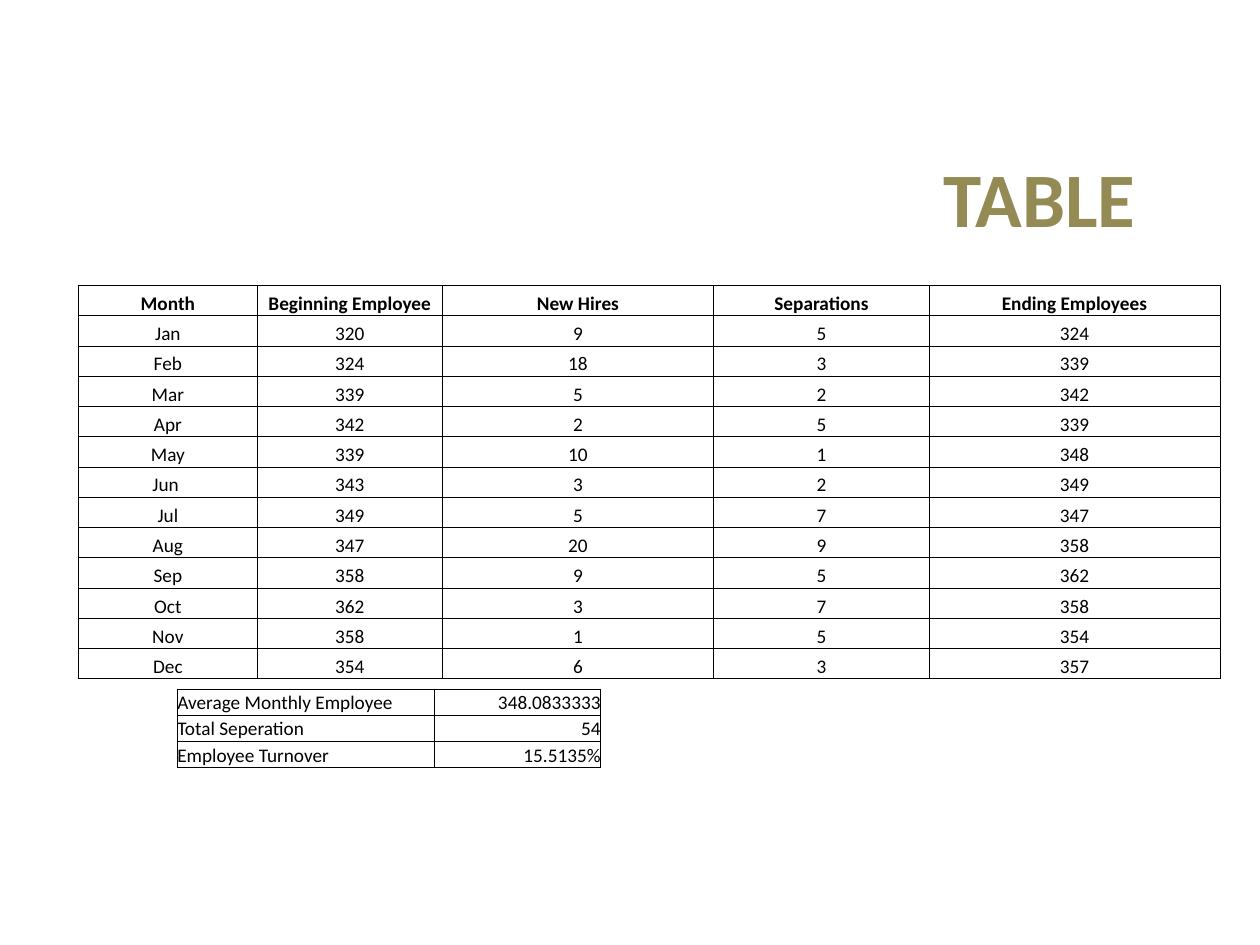
from dataclasses import dataclass
from typing import Any

from lxml import etree
from pptx import Presentation
from pptx.dml.color import RGBColor
from pptx.enum.text import MSO_ANCHOR, PP_ALIGN
from pptx.oxml.ns import qn
from pptx.util import Pt

LEFT, MID, RIGHT = PP_ALIGN.LEFT, PP_ALIGN.CENTER, PP_ALIGN.RIGHT
LOW, HALF = MSO_ANCHOR.BOTTOM, MSO_ANCHOR.MIDDLE
TITLE_ONLY = 5
HUES = {"title": "948A54", "text": "000000", "line": "000000"}
CELL = {
    "margin_left": 0,
    "margin_right": 0,
    "margin_top": 0,
    "margin_bottom": 0,
    "vertical_anchor": LOW,
}
PLAIN = {"name": "Calibri", "size": Pt(11), "bold": False}
HEAD = {**PLAIN, "bold": True}
LARGE = {**HEAD, "size": Pt(44)}

MONTHS = [
    ("Month", "Beginning Employee", "New Hires", "Separations", "Ending Employees"),
    ("Jan", 320, 9, 5, 324),
    ("Feb", 324, 18, 3, 339),
    ("Mar", 339, 5, 2, 342),
    ("Apr", 342, 2, 5, 339),
    ("May", 339, 10, 1, 348),
    ("Jun ", 343, 3, 2, 349),
    ("Jul", 349, 5, 7, 347),
    ("Aug", 347, 20, 9, 358),
    ("Sep", 358, 9, 5, 362),
    ("Oct", 362, 3, 7, 358),
    ("Nov", 358, 1, 5, 354),
    ("Dec", 354, 6, 3, 357),
]
TOTALS = [
    ("Average Monthly Employee", "348.0833333"),
    ("Total Seperation", 54),
    ("Employee Turnover", "15.5135%"),
]


@dataclass
class Grid:
    left: float
    top: float
    step: float
    widths: list[float]
    aligns: list[Any]
    rows: list[tuple]
    head: bool


GRIDS = [
    Grid(44.7, 163.1, 17.3, [102.5, 105.5, 155.3, 123, 166.2], [MID] * 5, MONTHS, True),
    Grid(101.3, 393.8, 14.9, [147, 95], [LEFT, RIGHT], TOTALS, False),
]


def apply(item: Any, values: dict[str, Any]) -> None:
    for key, value in values.items():
        setattr(item, key, value)


def style(para: Any, align: Any, values: dict[str, Any], hue: str) -> None:
    para.alignment = align
    font = para.runs[0].font
    apply(font, values)
    font.color.rgb = RGBColor.from_string(HUES[hue])


def frame(cell: Any) -> None:
    props = cell._tc.get_or_add_tcPr()
    for side in ("a:lnL", "a:lnR", "a:lnT", "a:lnB"):
        line = etree.SubElement(props, qn(side), w=str(Pt(0.5)))
        fill = etree.SubElement(line, qn("a:solidFill"))
        etree.SubElement(fill, qn("a:srgbClr"), val=HUES["line"])
    cell.fill.background()


def draw(slide: Any, grid: Grid) -> None:
    count = len(grid.rows)
    table = slide.shapes.add_table(
        count, len(grid.widths), Pt(grid.left), Pt(grid.top),
        Pt(sum(grid.widths)), Pt(grid.step * count),
    ).table
    table.first_row = grid.head
    table.horz_banding = False
    for col, width in zip(table.columns, grid.widths):
        col.width = Pt(width)
    for num, (row, texts) in enumerate(zip(table.rows, grid.rows)):
        row.height = Pt(grid.step)
        font = HEAD if grid.head and num == 0 else PLAIN
        for cell, text, align in zip(row.cells, texts, grid.aligns):
            cell.text = str(text)
            apply(cell, CELL)
            frame(cell)
            style(cell.text_frame.paragraphs[0], align, font, "text")


def main() -> None:
    deck = Presentation()
    apply(deck, {"slide_width": Pt(720), "slide_height": Pt(540)})
    slide = deck.slides.add_slide(deck.slide_layouts[TITLE_ONLY])
    title = slide.shapes.title
    apply(title, {"left": Pt(270), "top": Pt(67.5), "width": Pt(648), "height": Pt(90)})
    title.text = "TABLE"
    title.text_frame.vertical_anchor = HALF
    style(title.text_frame.paragraphs[0], MID, LARGE, "title")
    for grid in GRIDS:
        draw(slide, grid)
    deck.save("out.pptx")


if __name__ == "__main__":
    main()
